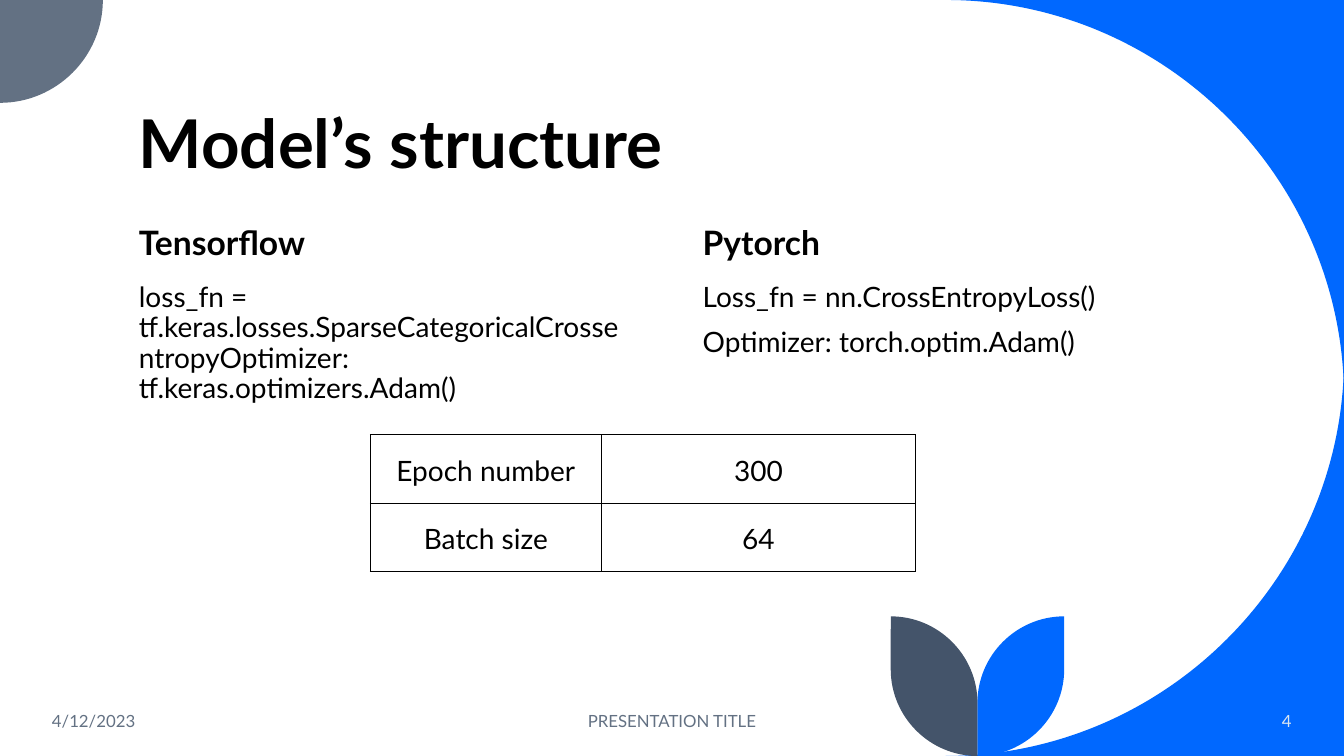
"""Build the slide on the structure of the model."""
from dataclasses import dataclass
from math import cos, radians, sin

from lxml.etree import Element, SubElement
from pptx import Presentation
from pptx.dml.color import RGBColor
from pptx.enum.text import MSO_ANCHOR, PP_ALIGN
from pptx.oxml.ns import qn
from pptx.shapes.autoshape import Shape
from pptx.slide import Slide
from pptx.table import _Cell
from pptx.text.text import TextFrame
from pptx.util import Inches, Pt

WIDE, HIGH = Inches(13.33), Inches(7.5)
FONT = "Lato"
HUES = {"ink": "000000", "blue": "0068FF", "slate": "637183",
        "navy": "44546A", "pale": "DAE5EF"}
PULL = 0.55
LEFT, RIGHT = 9.6, 51.54
HALF = 38.26


@dataclass(frozen=True)
class Style:
    """Looks of a text."""
    size: float
    hue: str = "ink"
    bold: bool = False
    align: PP_ALIGN = PP_ALIGN.LEFT
    line: float = 1.0
    before: float = 0
    after: float = 0


@dataclass(frozen=True)
class Label:
    """Text in a box, placed in percent of the slide's size."""
    text: str
    left: float
    top: float
    width: float
    height: float
    style: Style
    anchor: MSO_ANCHOR = MSO_ANCHOR.TOP


@dataclass(frozen=True)
class Arc:
    """Quarter turn, centred in percent, with a radius in percent of height."""
    across: float
    down: float
    radius: float
    start: int

    def points(self) -> list[tuple[int, int]]:
        """Return both ends with the two curve handles between them."""
        size = HIGH * self.radius / 100
        turn = radians(self.start)
        x, y = cos(turn), sin(turn)
        pairs = ((x, y), (x - PULL * y, y + PULL * x),
                 (PULL * x - y, PULL * y + x), (-y, x))
        return [(round(WIDE * self.across / 100 + size * a),
                 round(HIGH * self.down / 100 + size * b)) for a, b in pairs]


@dataclass(frozen=True)
class Petal:
    """Filled outline made of arcs and, if given, a corner in percent."""
    hue: str
    arcs: tuple[Arc, ...]
    corner: tuple[tuple[float, float], ...] = ()


TITLE = Style(48, bold=True, line=0.9)
HEAD = Style(24, bold=True, line=0.9, before=10)
BODY = Style(20, line=0.9, before=10)
CELL = Style(20, align=PP_ALIGN.CENTER, line=1.07, after=8)
MIDDLE = MSO_ANCHOR.MIDDLE

PETALS = (
    Petal("blue", (Arc(70.37, 52.67, 52.67, 270),), ((100, 0),)),
    Petal("blue", (Arc(70.37, 47.33, 52.67, 0),), ((100, 100),)),
    Petal("slate", (Arc(0, 0, 13.6, 0),), ((0, 0),)),
    Petal("blue", (Arc(72.73, 88.53, 11.47, 0), Arc(79.18, 93, 11.47, 180))),
    Petal("navy", (Arc(72.73, 88.53, 11.47, 90), Arc(66.28, 93, 11.47, 270))),
)

LABELS = (
    Label("Model’s structure", LEFT, 5.6, 80.2, 19.33, TITLE, MSO_ANCHOR.BOTTOM),
    Label("Tensorflow", LEFT, 29.26, HALF, 7.6, HEAD),
    Label("Pytorch", RIGHT, 29.26, HALF, 7.6, HEAD),
    Label("loss_fn = tf.keras.losses.SparseCategoricalCrossentropy"
          "Optimizer: tf.keras.optimizers.Adam()", LEFT, 36.85, HALF, 41.2, BODY),
    Label("Loss_fn = nn.CrossEntropyLoss()\nOptimizer: torch.optim.Adam()",
          RIGHT, 36.85, HALF, 41.2, BODY),
    Label("4/12/2023", 3.13, 92.67, 22.5, 5.33, Style(12, "slate"), MIDDLE),
    Label("PRESENTATION TITLE", 33.12, 92.67, 33.76, 5.33,
          Style(12, "slate", align=PP_ALIGN.CENTER), MIDDLE),
    Label("4", 83.27, 92.67, 13.58, 5.33,
          Style(12, "pale", align=PP_ALIGN.RIGHT), MIDDLE),
)

ROWS = (("Epoch number", "300"), ("Batch size", "64"))
COLS = (17.18, 23.4)
TALL = 9.07


def tint(name: str) -> RGBColor:
    """Return the named colour."""
    return RGBColor.from_string(HUES[name])


def write(frame: TextFrame, text: str, style: Style) -> None:
    """Fill a frame with styled text."""
    frame.text = text
    for para in frame.paragraphs:
        para.alignment = style.align
        para.line_spacing = style.line
        para.space_before = Pt(style.before)
        para.space_after = Pt(style.after)
        for run in para.runs:
            run.font.name = FONT
            run.font.size = Pt(style.size)
            run.font.bold = style.bold
            run.font.color.rgb = tint(style.hue)


def bend(shape: Shape, count: int) -> None:
    """Turn the three lines of each arc into one curve."""
    route = next(shape._element.iter(qn("a:path")))
    steps = list(route)
    for first in range(1, 4 * count, 4):
        curve = Element(qn("a:cubicBezTo"))
        steps[first].addprevious(curve)
        for step in steps[first:first + 3]:
            curve.append(step[0])
            route.remove(step)


def draw_petal(slide: Slide, petal: Petal) -> None:
    """Draw one filled outline."""
    dots = [dot for arc in petal.arcs for dot in arc.points()]
    dots += [(round(WIDE * x / 100), round(HIGH * y / 100))
             for x, y in petal.corner]
    pen = slide.shapes.build_freeform(*dots[0])
    pen.add_line_segments(dots[1:], close=True)
    shape = pen.convert_to_shape()
    bend(shape, len(petal.arcs))
    shape.shadow.inherit = False
    shape.fill.solid()
    shape.fill.fore_color.rgb = tint(petal.hue)
    shape.line.fill.background()


def draw_label(slide: Slide, label: Label) -> None:
    """Draw one text box."""
    box = slide.shapes.add_textbox(
        round(WIDE * label.left / 100), round(HIGH * label.top / 100),
        round(WIDE * label.width / 100), round(HIGH * label.height / 100))
    frame = box.text_frame
    frame.word_wrap = True
    frame.vertical_anchor = label.anchor
    write(frame, label.text, label.style)


def edge(cell: _Cell) -> None:
    """Give a cell clear fill and thin lines on all sides."""
    props = cell._tc.get_or_add_tcPr()
    for side in ("a:lnL", "a:lnR", "a:lnT", "a:lnB"):
        line = SubElement(props, qn(side), w=str(Pt(1)))
        fill = SubElement(line, qn("a:solidFill"))
        SubElement(fill, qn("a:srgbClr"), val=HUES["ink"])
    cell.fill.background()


def draw_table(slide: Slide) -> None:
    """Draw the table of settings."""
    table = slide.shapes.add_table(
        len(ROWS), len(COLS), round(WIDE * 27.56 / 100), round(HIGH * 57.5 / 100),
        round(WIDE * sum(COLS) / 100), round(HIGH * TALL * len(ROWS) / 100)).table
    table.first_row = table.horz_banding = False
    for col, share in zip(table.columns, COLS):
        col.width = round(WIDE * share / 100)
    for row, texts in zip(table.rows, ROWS):
        row.height = round(HIGH * TALL / 100)
        for cell, text in zip(row.cells, texts):
            cell.margin_left = cell.margin_right = Inches(0.05)
            cell.margin_top = cell.margin_bottom = Inches(0.02)
            cell.vertical_anchor = MIDDLE
            edge(cell)
            write(cell.text_frame, text, CELL)


if __name__ == "__main__":
    deck = Presentation()
    deck.slide_width, deck.slide_height = WIDE, HIGH
    page = deck.slides.add_slide(deck.slide_layouts[6])
    for item in PETALS:
        draw_petal(page, item)
    for item in LABELS:
        draw_label(page, item)
    draw_table(page)
    deck.save("out.pptx")
